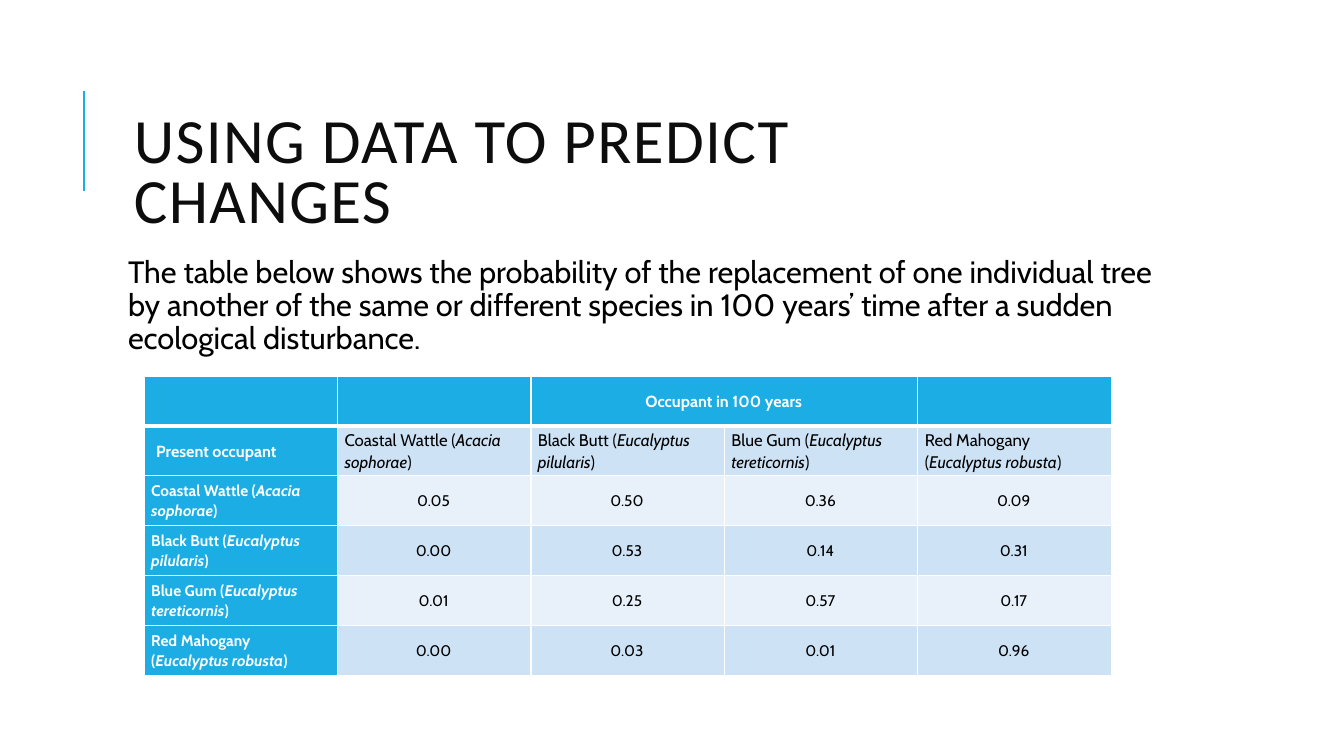
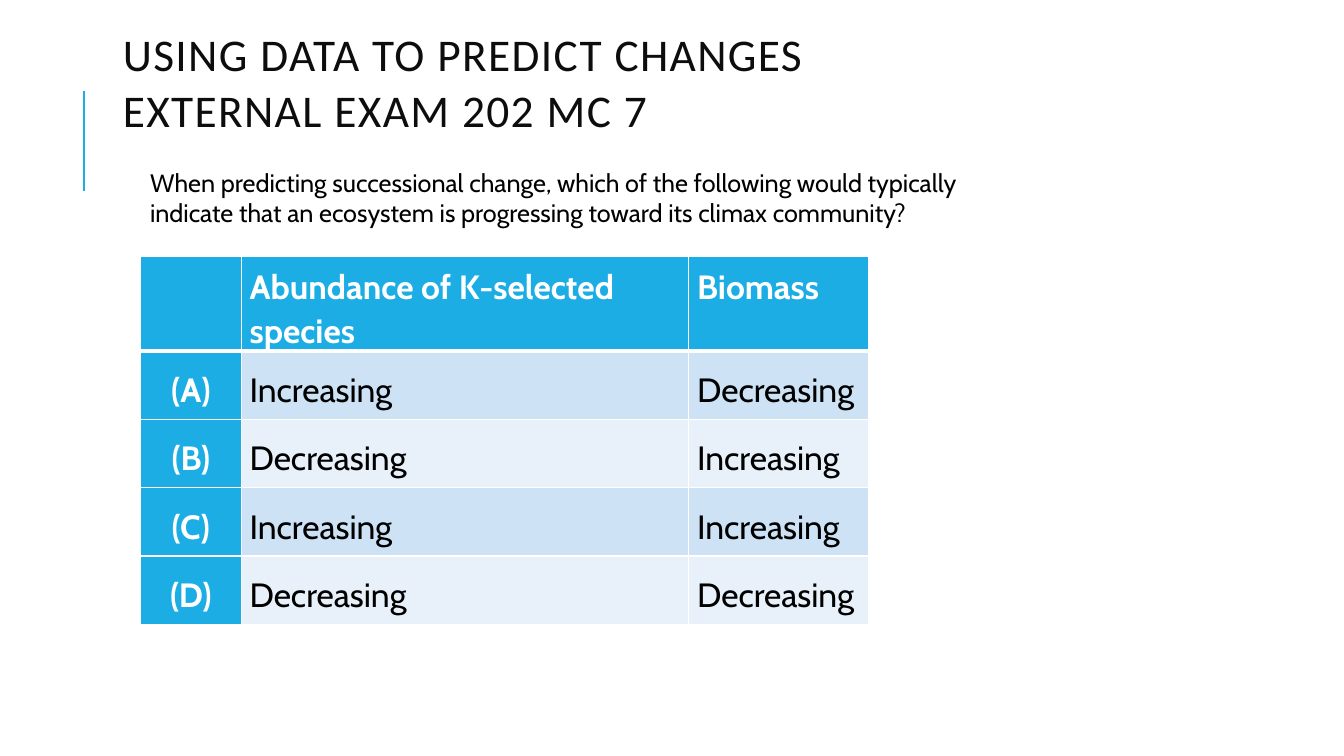
"""Build two slides on using data to predict ecological change."""
import dataclasses

import pptx
import pptx.dml.color
import pptx.enum.shapes
import pptx.enum.text
import pptx.oxml
import pptx.oxml.ns
import pptx.util

ALIGN = pptx.enum.text.PP_ALIGN
ANCHOR = pptx.enum.text.MSO_ANCHOR
NS = pptx.oxml.ns.nsdecls("a")


@dataclasses.dataclass(frozen=True)
class Theme:
    """Colours, fonts, type sizes and the slide size."""
    accent: str = "1CADE4"
    band_dark: str = "CDE3F5"
    band_light: str = "E8F1FA"
    title_ink: str = "0D0D0D"
    ink: str = "000000"
    white: str = "FFFFFF"
    title_font: str = "Calibri"
    body_font: str = "Cabin"
    title_size: float = 45
    long_title_size: float = 32.4
    body_size: float = 22
    question_size: float = 18
    answer_size: float = 24
    species_size: float = 12
    heading_size: float = 11.5
    value_size: float = 11
    width: float = 13.33
    height: float = 7.5


T = Theme()

SPECIES = [
    "Coastal Wattle (*Acacia sophorae*)",
    "Black Butt (*Eucalyptus pilularis*)",
    "Blue Gum (*Eucalyptus tereticornis*)",
    "Red Mahogany (*Eucalyptus robusta*)",
]
PROBABILITIES = [
    ["0.05", "0.50", "0.36", "0.09"],
    ["0.00", "0.53", "0.14", "0.31"],
    ["0.01", "0.25", "0.57", "0.17"],
    ["0.00", "0.03", "0.01", "0.96"],
]
ANSWERS = [
    ["", "Abundance of K-selected species", "Biomass"],
    ["(A)", "Increasing", "Decreasing"],
    ["(B)", "Decreasing", "Increasing"],
    ["(C)", "Increasing", "Increasing"],
    ["(D)", "Decreasing", "Decreasing"],
]


def across(share):
    """Turn a percentage of the slide's width into a length."""
    return pptx.util.Inches(T.width * share / 100)


def down(share):
    """Turn a percentage of the slide's height into a length."""
    return pptx.util.Inches(T.height * share / 100)


def rgb(colour):
    """Return the colour object for a hex string."""
    return pptx.dml.color.RGBColor.from_string(colour)


def write(tf, text, size, font=T.body_font, colour=T.ink, bold=False,
          align=ALIGN.LEFT, leading=None, tracking=0, indent=0):
    """Write one paragraph per line, with text between asterisks in italics."""
    for n, line in enumerate(text.split("\n")):
        p = tf.add_paragraph() if n else tf.paragraphs[0]
        p.alignment = align
        p.line_spacing = leading
        if indent:
            p._p.get_or_add_pPr().set("marL", str(pptx.util.Pt(indent)))
        for k, part in enumerate(line.split("*")):
            if not part:
                continue
            r = p.add_run()
            r.text = part
            r.font.name, r.font.size = font, pptx.util.Pt(size)
            r.font.bold, r.font.italic = bold, k % 2 == 1
            r.font.color.rgb = rgb(colour)
            if tracking:
                r._r.get_or_add_rPr().set("spc", str(tracking * 100))


def add_text(s, box, text, anchor=ANCHOR.TOP, inset=None, **fmt):
    """Add a wrapping text box whose box is given in shares of the slide."""
    x, y, w, h = box
    tf = s.shapes.add_textbox(across(x), down(y), across(w), down(h)).text_frame
    tf.word_wrap = True
    tf.vertical_anchor = anchor
    if inset is not None:
        tf.margin_left = tf.margin_right = pptx.util.Pt(inset)
        tf.margin_top = tf.margin_bottom = pptx.util.Pt(inset)
    write(tf, text, **fmt)


def add_title(s, box, text, size=T.title_size, leading=0.8):
    """Add a spaced title in the title style."""
    add_text(s, box, text, anchor=ANCHOR.MIDDLE, size=size, font=T.title_font,
             colour=T.title_ink, leading=leading, tracking=1)


def add_rule(s):
    """Add the upright accent rule beside the title."""
    cn = s.shapes.add_connector(pptx.enum.shapes.MSO_CONNECTOR.STRAIGHT,
                                across(6.25), down(25.33), across(6.25), down(12))
    cn.line.color.rgb = rgb(T.accent)
    cn.line.width = pptx.util.Pt(1.5)
    cn._element.spPr.append(pptx.oxml.parse_xml(f"<a:effectLst {NS}/>"))


def new_slide(prs):
    """Add a blank slide that carries the accent rule."""
    s = prs.slides.add_slide(prs.slide_layouts[6])
    add_rule(s)
    return s


def style_cell(cell, row, col):
    """Give a cell its white borders and its heading or band fill."""
    tcPr = cell._tc.get_or_add_tcPr()
    widths = {"L": 1, "R": 1, "T": 3 if row == 1 else 1, "B": 1 if row else 3}
    for side, width in widths.items():
        tcPr.append(pptx.oxml.parse_xml(
            f'<a:ln{side} {NS} w="{pptx.util.Pt(width)}"><a:solidFill>'
            f'<a:srgbClr val="{T.white}"/></a:solidFill></a:ln{side}>'))
    band = T.band_dark if row % 2 else T.band_light
    cell.fill.solid()
    cell.fill.fore_color.rgb = rgb(T.accent if row == 0 or col == 0 else band)


def add_grid(s, at, cols, rows, insets):
    """Add a table with heading row, heading column and banded body."""
    x, y = at
    tbl = s.shapes.add_table(len(rows), len(cols), across(x), down(y),
                             across(sum(cols)), down(sum(rows))).table
    tbl.first_row = tbl.horz_banding = False
    for column, share in zip(tbl.columns, cols):
        column.width = across(share)
    for row, share in zip(tbl.rows, rows):
        row.height = down(share)
    for i in range(len(rows)):
        for j in range(len(cols)):
            cell = tbl.cell(i, j)
            style_cell(cell, i, j)
            (cell.margin_left, cell.margin_top, cell.margin_right,
             cell.margin_bottom) = map(pptx.util.Pt, insets)
            cell.vertical_anchor = ANCHOR.MIDDLE
    return tbl


def fill_cell(cell, text, size, heading=False, **fmt):
    """Write a cell, in bold white when it is a heading."""
    write(cell.text_frame, text, size, colour=T.white if heading else T.ink,
          bold=heading, leading=1.07, **fmt)


def probability_slide(prs):
    """Build the slide with the table of replacement probabilities."""
    s = new_slide(prs)
    add_title(s, (9.23, 18.27, 58.2, 9.87), "USING DATA TO PREDICT CHANGES")
    add_text(s, (8.4, 33.33, 79.73, 16),
             "The table below shows the probability of the replacement of one "
             "individual tree by another of the same or different species in "
             "100 years’ time after a sudden ecological disturbance.",
             inset=3.6, size=T.body_size, leading=0.9, indent=7.2)
    tbl = add_grid(s, (10.73, 49.73), [14.39] * 5, [6.6] * 6, (5, 0, 6, 0))
    tbl.cell(0, 2).merge(tbl.cell(0, 3))
    fill_cell(tbl.cell(0, 2), "Occupant in 100 years", T.heading_size,
              heading=True, align=ALIGN.CENTER)
    fill_cell(tbl.cell(1, 0), "Present occupant", T.heading_size,
              heading=True, indent=3.6)
    for n, (name, values) in enumerate(zip(SPECIES, PROBABILITIES)):
        fill_cell(tbl.cell(1, n + 1), name, T.species_size)
        fill_cell(tbl.cell(n + 2, 0), name, T.value_size, heading=True)
        for j, value in enumerate(values, start=1):
            fill_cell(tbl.cell(n + 2, j), value, T.value_size, align=ALIGN.CENTER)


def exam_slide(prs):
    """Build the slide with the multiple-choice question."""
    s = new_slide(prs)
    add_title(s, (8.4, 3.33, 76.05, 14.67),
              "USING DATA TO PREDICT CHANGES\nEXTERNAL EXAM 202 MC 7",
              size=T.long_title_size, leading=1.03)
    add_text(s, (10.43, 21.47, 63.68, 9.47),
             "When predicting successional change, which of the following would "
             "typically indicate that an ecosystem is progressing toward its "
             "climax community?", size=T.question_size)
    tbl = add_grid(s, (10.45, 33.87), [7.5, 33.3, 13.42],
                   [9.73] + [9.05] * 4, (6, 6, 6, 0))
    for i, row in enumerate(ANSWERS):
        for j, text in enumerate(row):
            cell = tbl.cell(i, j)
            if i == 0:
                cell.vertical_anchor = ANCHOR.TOP
            fill_cell(cell, text, T.answer_size, heading=i == 0 or j == 0,
                      align=ALIGN.LEFT if j else ALIGN.CENTER)


def main():
    """Build the presentation and save it."""
    prs = pptx.Presentation()
    prs.slide_width, prs.slide_height = across(100), down(100)
    probability_slide(prs)
    exam_slide(prs)
    prs.save("out.pptx")


if __name__ == "__main__":
    main()
